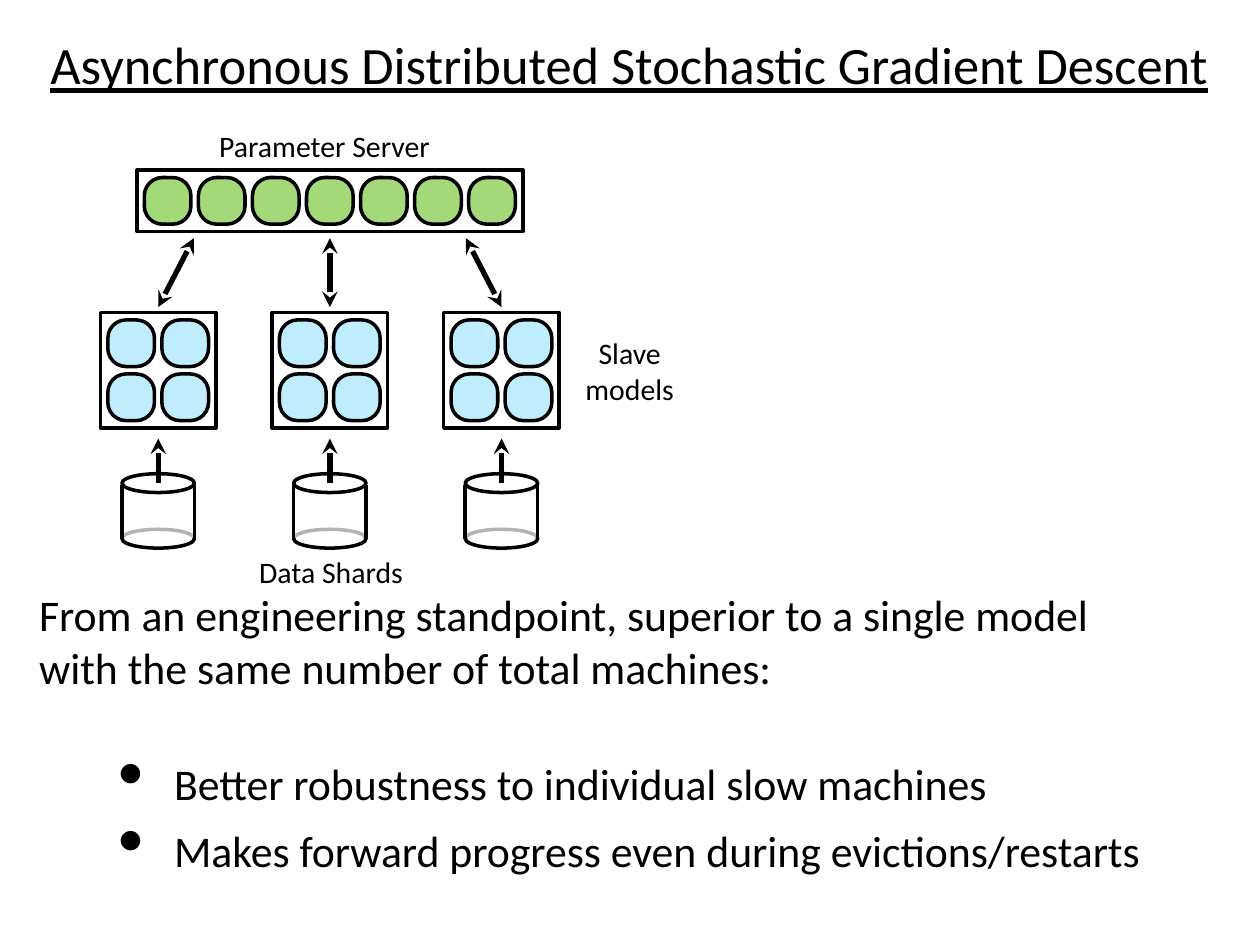
from dataclasses import dataclass
from lxml.etree import SubElement
from pptx import Presentation
from pptx.dml.color import RGBColor
from pptx.enum.shapes import MSO_CONNECTOR, MSO_SHAPE
from pptx.enum.text import MSO_ANCHOR, PP_ALIGN
from pptx.oxml.ns import qn
from pptx.util import Cm, Pt


@dataclass(frozen=True)
class Theme:
    font: str = "Calibri"
    ink: RGBColor = RGBColor(0, 0, 0)
    paper: RGBColor = RGBColor(255, 255, 255)
    model: RGBColor = RGBColor(0xC0, 0xED, 0xFE)
    server: RGBColor = RGBColor(0xA3, 0xD9, 0x79)
    title: int = 30
    body: int = 25
    label: int = 17
    outline: int = 2
    arrow: int = 3


theme = Theme()
deck = Presentation()
deck.slide_width, deck.slide_height = Cm(25.4), Cm(19.05)
page = deck.slides.add_slide(deck.slide_layouts[6])


def add_figure(kind, left, top, width, height, fill=None, outlined=True):
    figure = page.shapes.add_shape(kind, Cm(left), Cm(top), Cm(width), Cm(height))
    figure.shadow.inherit = False
    if fill is None:
        figure.fill.background()
    else:
        figure.fill.solid()
        figure.fill.fore_color.rgb = fill
    if outlined:
        figure.line.color.rgb = theme.ink
        figure.line.width = Pt(theme.outline)
    else:
        figure.line.fill.background()
    return figure


def add_line(start, end, width, heads=()):
    line = page.shapes.add_connector(MSO_CONNECTOR.STRAIGHT, *map(Cm, start + end))
    line.line.color.rgb = theme.ink
    line.line.width = Pt(width)
    for head in heads:
        SubElement(line.line._ln, qn("a:" + head), type="stealth")
    SubElement(line._element.spPr, qn("a:effectLst"))


# Node grid: rounded nodes inside a frame, columns centred on the middle one
node, pitch, pad = 0.94, 1.09, 0.15
middle, spacing = 6.65, 3.46
centers = [middle + spacing * step for step in (-1, 0, 1)]
grids = [(middle, 3.43, 7, 1, theme.server)]
grids += [(center, 6.3, 2, 2, theme.model) for center in centers]

# Parameter server and model replicas
for center, top, columns, rows, color in grids:
    width = 2 * pad + node + (columns - 1) * pitch
    height = 2 * pad + node + (rows - 1) * pitch
    left = center - width / 2
    for row in range(rows):
        for column in range(columns):
            cell = add_figure(MSO_SHAPE.ROUNDED_RECTANGLE, left + pad + column * pitch,
                              top + pad + row * pitch, node, node, color)
            cell.adjustments[0] = 0.39
    add_figure(MSO_SHAPE.RECTANGLE, left, top, width, height)

# Two-way arrows between server and models
for server_x, model_x in zip((3.91, middle, 9.39), centers):
    add_line((server_x, 4.8), (model_x, 6.19), theme.arrow, ("headEnd", "tailEnd"))

# Data shards: veiled bottom ellipse, clear top ellipse, two sides, arrow upwards
shard_width, rim = 1.46, 0.38
for center in centers:
    left, right = center - shard_width / 2, center + shard_width / 2
    add_figure(MSO_SHAPE.OVAL, left, 10.67, shard_width, rim)
    veil = add_figure(MSO_SHAPE.RECTANGLE, left, 9.8, shard_width, 1.05, theme.paper, False)
    color = veil._element.spPr.find(qn("a:solidFill"))[0]
    SubElement(color, qn("a:alpha"), val="70000")
    add_figure(MSO_SHAPE.OVAL, left, 9.55, shard_width, rim)
    for side in (left, right):
        add_line((side, 9.78), (side, 10.87), theme.outline)
    add_line((center, 8.84), (center, 9.73), theme.arrow, ("headEnd",))

# Texts: paragraphs, place, size, alignment, wrap
texts = [
    (["Asynchronous Distributed Stochastic Gradient Descent"],
     (0.18, 0.58, 25.02, 1.42), theme.title, PP_ALIGN.CENTER, True),
    (["Parameter Server"], (4.42, 2.57, 4.78, 0.74), theme.label, PP_ALIGN.LEFT, False),
    (["Slave models"], (11.4, 6.68, 2.59, 1.57), theme.label, PP_ALIGN.CENTER, True),
    (["Data Shards"], (4.67, 11.07, 4.01, 0.89), theme.label, PP_ALIGN.CENTER, True),
    (["From an engineering standpoint, superior to a single model "
      "with the same number of total machines:"],
     (0.79, 11.82, 22.63, 2.18), theme.body, PP_ALIGN.LEFT, True),
    (["Better robustness to individual slow machines",
      "Makes forward progress even during evictions/restarts"],
     (1.6, 14.4, 23.01, 4.11), theme.body, PP_ALIGN.LEFT, True),
]
for lines, place, size, align, wrap in texts:
    box = page.shapes.add_textbox(*map(Cm, place))
    frame = box.text_frame
    frame.word_wrap = wrap
    frame.vertical_anchor = MSO_ANCHOR.MIDDLE
    frame.margin_left = frame.margin_right = frame.margin_top = frame.margin_bottom = 0
    frame.text = "\n".join(lines)
    bulleted = len(lines) > 1
    if bulleted:
        frame.margin_left = Cm(0.18)
        frame.margin_top = frame.margin_bottom = Cm(0.1)
    for index, para in enumerate(frame.paragraphs):
        para.alignment = align
        if index:
            para.space_before = Pt(8.4)
        if bulleted:
            properties = para._p.get_or_add_pPr()
            properties.set("marL", str(Cm(1.73)))
            properties.set("indent", str(Cm(-1.12)))
            SubElement(properties, qn("a:buSzPct"), val="171000")
            SubElement(properties, qn("a:buChar"), char="•")
        for span in para.runs:
            span.font.name = theme.font
            span.font.size = Pt(size)
            span.font.color.rgb = theme.ink
            if size == theme.title:
                span.font.underline = True

deck.save("out.pptx")
